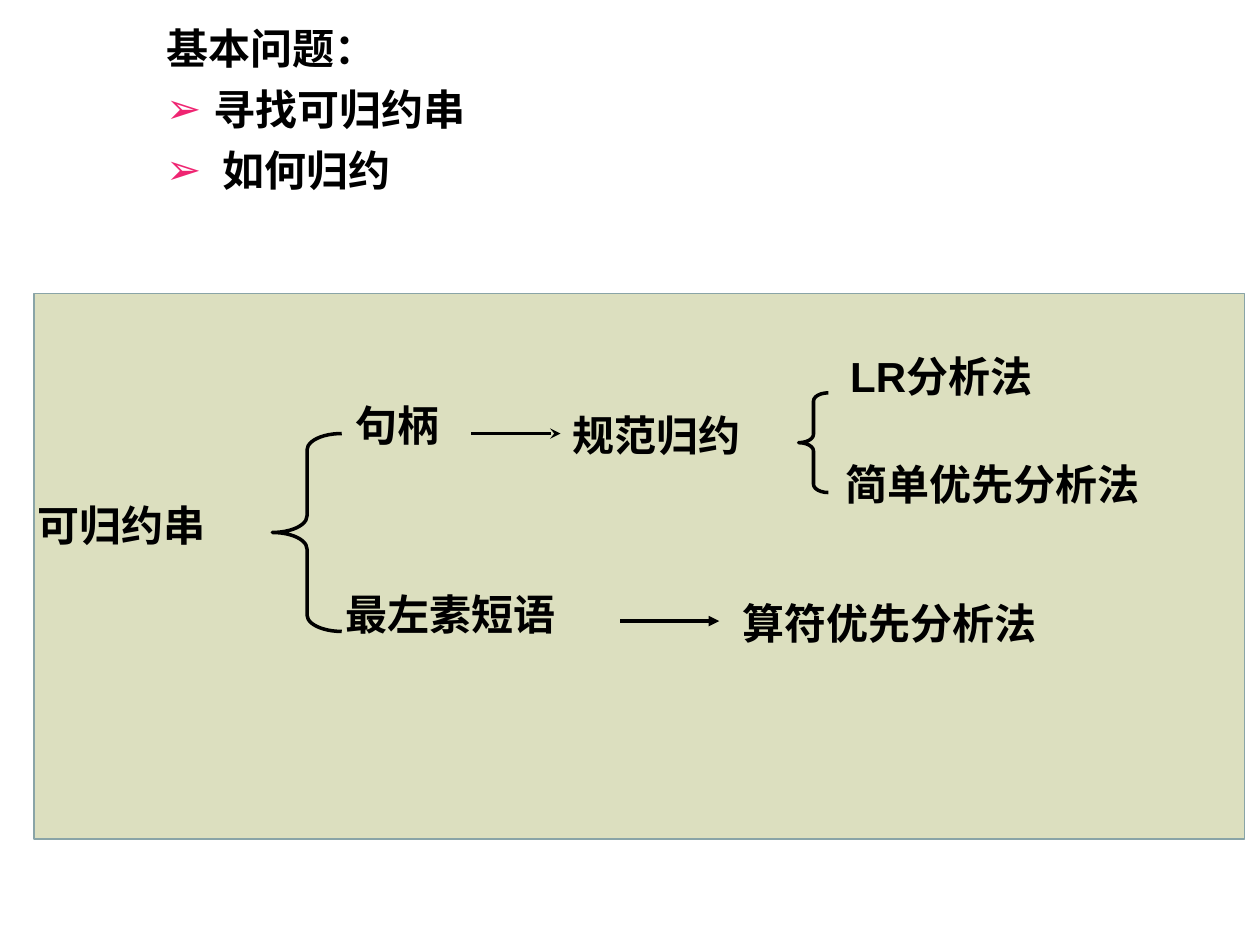
from typing import NamedTuple

from lxml import etree
from pptx import Presentation
from pptx.dml import color
from pptx.enum import shapes, text
from pptx.oxml import ns
from pptx.util import Cm, Pt

BLACK = color.RGBColor(0x00, 0x00, 0x00)
PANEL = color.RGBColor(0xDC, 0xDF, 0xBF)
EDGE = color.RGBColor(0x89, 0xA4, 0xA7)
PINK = "EF2572"

FONT = {"size": Pt(24), "bold": True}
FRAME = {
    "word_wrap": True,
    "auto_size": text.MSO_AUTO_SIZE.NONE,
    "vertical_anchor": text.MSO_ANCHOR.TOP,
    "margin_left": Cm(0.25),
    "margin_right": Cm(0.25),
    "margin_top": Cm(0.13),
    "margin_bottom": Cm(0.13),
}


class Box(NamedTuple):
    left: float
    top: float
    width: float
    height: float


class Label(NamedTuple):
    words: str
    left: float
    top: float
    width: float
    face: str = "Times New Roman"


class Arrow(NamedTuple):
    start: float
    end: float
    level: float
    head: str


LABELS = [
    Label("可归约串", 0.51, 9.93, 5.2),
    Label("句柄", 6.91, 7.92, 3.8),
    Label("最左素短语", 6.71, 11.73, 6.8),
    Label("规范归约", 11.3, 8.13, 5.6),
    Label("LR分析法", 16.89, 6.93, 5.6, "Arial"),
    Label("算符优先分析法", 14.71, 11.91, 8.6),
    Label("简单优先分析法", 16.79, 9.12, 8.6),
]
BRACES = [Box(5.49, 8.74, 1.4, 3.99), Box(16.1, 7.92, 0.6, 2.01)]
ARROWS = [Arrow(9.5, 11.3, 8.74, "stealth"), Arrow(12.5, 14.5, 12.52, "triangle")]


def apply(target, values: dict) -> None:
    for name, value in values.items():
        setattr(target, name, value)


def place(shape, box: Box) -> None:
    apply(shape, {name: Cm(size) for name, size in box._asdict().items()})


def add_mark(para) -> None:
    props = para._p.get_or_add_pPr()
    props.set("marL", str(Cm(0.95)))
    props.set("indent", str(-Cm(0.95)))
    tint = etree.SubElement(props, ns.qn("a:buClr"))
    etree.SubElement(tint, ns.qn("a:srgbClr"), val=PINK)
    etree.SubElement(props, ns.qn("a:buChar"), char="➢")


def write(shape, lines: list[str], face: str, marked: bool = False) -> None:
    frame = shape.text_frame
    apply(frame, FRAME)
    for i, line in enumerate(lines):
        para = frame.add_paragraph() if i else frame.paragraphs[0]
        para.alignment = text.PP_ALIGN.LEFT
        para.space_before = Pt(6 if i else 0)
        if marked:
            add_mark(para)
        run = para.add_run()
        run.text = line
        apply(run.font, {**FONT, "name": face})
        run.font.color.rgb = BLACK


def add_panel(slide, box: Box) -> None:
    panel = slide.shapes.add_shape(shapes.MSO_SHAPE.RECTANGLE, *map(Cm, box))
    panel.shadow.inherit = False
    panel.fill.solid()
    panel.fill.fore_color.rgb = PANEL
    panel.line.color.rgb = EDGE
    panel.line.width = Pt(1)


def add_label(slide, label: Label) -> None:
    box = Box(label.left, label.top, label.width, 1.6)
    write(slide.shapes.add_textbox(*map(Cm, box)), [label.words], label.face)


def add_brace(slide, box: Box) -> None:
    brace = slide.shapes.add_shape(shapes.MSO_SHAPE.LEFT_BRACE, *map(Cm, box))
    brace.adjustments[0] = box.height / 12 / box.width
    brace.shadow.inherit = False
    brace.fill.background()
    brace.line.color.rgb = BLACK
    brace.line.width = Pt(2)


def add_arrow(slide, arrow: Arrow) -> None:
    ends = (arrow.start, arrow.level, arrow.end, arrow.level)
    link = slide.shapes.add_connector(shapes.MSO_CONNECTOR.STRAIGHT, *map(Cm, ends))
    link.line.color.rgb = BLACK
    link.line.width = Pt(2)
    etree.SubElement(link.line._get_or_add_ln(), ns.qn("a:tailEnd"), type=arrow.head)
    etree.SubElement(link._element.spPr, ns.qn("a:effectLst"))


def main() -> None:
    deck = Presentation()
    deck.slide_width, deck.slide_height = Cm(25.4), Cm(19.05)
    slide = deck.slides.add_slide(deck.slide_layouts[1])
    title, body = slide.placeholders
    place(title, Box(3.1, 0.33, 22.3, 1.23))
    place(body, Box(3.1, 1.56, 22.3, 3.77))
    write(title, ["基本问题："], "Arial")
    write(body, ["寻找可归约串", " 如何归约"], "Arial", marked=True)
    add_panel(slide, Box(0.69, 5.92, 24.4, 11))
    for draw, items in (
        (add_label, LABELS),
        (add_brace, BRACES),
        (add_arrow, ARROWS),
    ):
        for item in items:
            draw(slide, item)
    deck.save("out.pptx")


if __name__ == "__main__":
    main()
